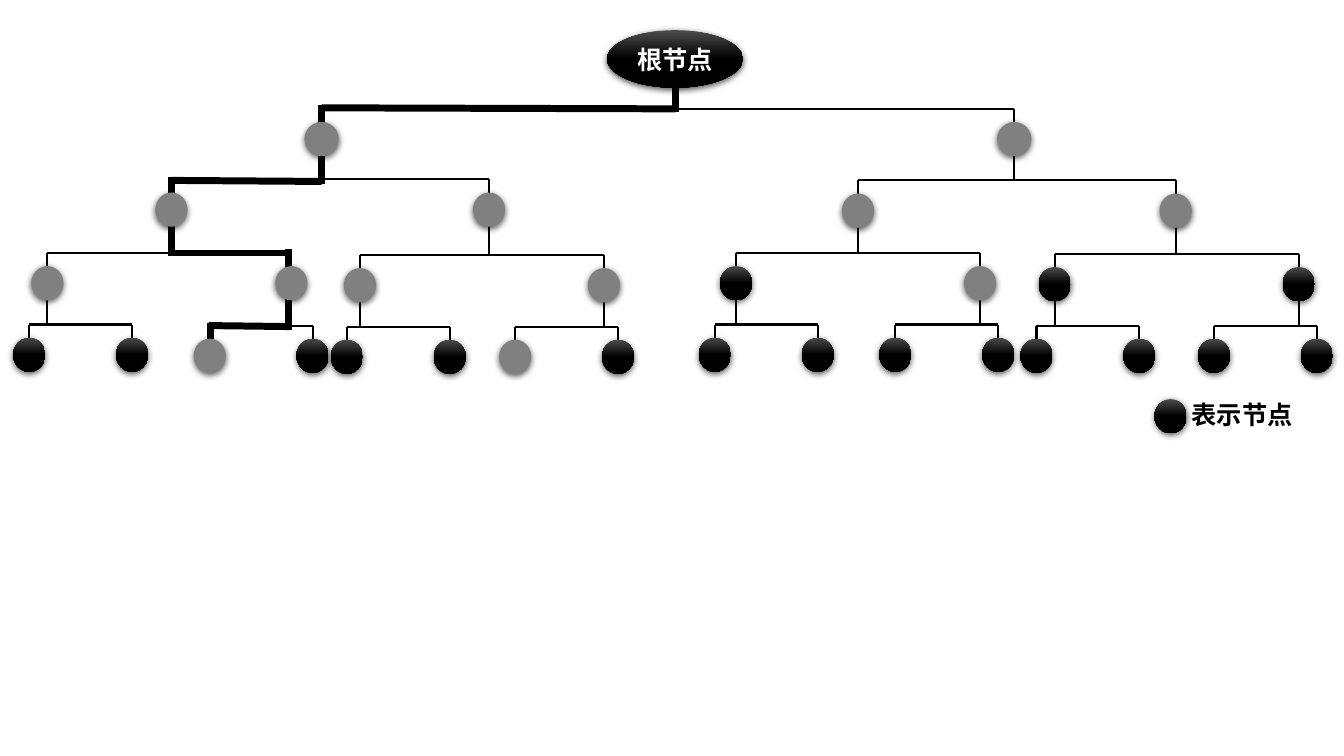
import copy

import lxml.etree
import pptx
import pptx.dml.color
import pptx.enum.shapes
import pptx.enum.text
import pptx.oxml
import pptx.oxml.ns
import pptx.util

Inches = pptx.util.Inches
Pt = pptx.util.Pt
qn = pptx.oxml.ns.qn

COLORS = {"ink": "000000", "sheen": "4B4B4B", "visited": "808080", "paper": "FFFFFF"}
THIN, THICK = 1.5, 5
NODE_HEIGHT = 0.34
NODE_DROP = 0.13

# Per level: gap between siblings, node width, bottom of the stems, and the
# branches as (left x, bar y, node kinds); "v" is a visited node, "d" a dark one.
LEVELS = [
    (6.87, 0.34, 1.79, [(3.19, 1.08, "vv")]),
    (3.15, 0.32, 2.52, [(1.7, 1.78, "vv"), (8.51, 1.79, "vv")]),
    (2.42, 0.32, 3.23, [(0.47, 2.51, "vv"), (3.57, 2.53, "vv"),
                        (7.3, 2.51, "dv"), (10.46, 2.52, "dd")]),
    (1.02, 0.32, 3.54, [(0.29, 3.22, "dd"), (2.08, 3.23, "vd"),
                        (3.44, 3.24, "dd"), (5.11, 3.24, "vd"),
                        (7.09, 3.22, "dd"), (8.88, 3.22, "dd"),
                        (10.28, 3.23, "dd"), (12.04, 3.23, "dd")]),
]
PATH_STEMS = [(6.7, 0.75, 1.11), (3.19, 1.04, 1.83), (1.7, 1.76, 2.54),
              (2.86, 2.47, 3.27), (2.09, 3.2, 3.52)]
PATH_BARS = [(6.7, 1.08, 3.19, 1.07), (3.19, 1.8, 1.7, 1.79),
             (2.88, 2.51, 1.71, 2.51), (2.87, 3.24, 2.07, 3.23)]


def rgb(name):
    """Return the named colour."""
    return pptx.dml.color.RGBColor.from_string(COLORS[name])


def apply_format(target, values):
    """Set every attribute in a dict of format values."""
    for name, value in values.items():
        setattr(target, name, value)


def add_line(shapes, start_x, start_y, end_x, end_y, width):
    """Draw a straight black line without a shadow."""
    line = shapes.add_connector(
        pptx.enum.shapes.MSO_CONNECTOR.STRAIGHT,
        Inches(start_x), Inches(start_y), Inches(end_x), Inches(end_y))
    line.line.color.rgb = rgb("ink")
    line.line.width = Pt(width)
    lxml.etree.SubElement(line._element.spPr, qn("a:effectLst"))


def add_shadow(shape):
    """Give a shape a soft shadow straight below it."""
    shape.shadow.inherit = False
    effects = shape._element.spPr.find(qn("a:effectLst"))
    shadow = lxml.etree.SubElement(
        effects, qn("a:outerShdw"), blurRad=str(Pt(4.5)), dist=str(Pt(1.5)),
        dir="5400000", algn="ctr", rotWithShape="0")
    color = lxml.etree.SubElement(shadow, qn("a:srgbClr"), val=COLORS["ink"])
    lxml.etree.SubElement(color, qn("a:alpha"), val="63000")


def fill_dark(shape):
    """Fill a shape with a grey sheen that turns black halfway down."""
    shape.fill.gradient()
    shape.fill.gradient_angle = 270
    stops = shape.fill.gradient_stops
    for stop, position, name in zip(stops, (0, 0.5), ("sheen", "ink")):
        apply_format(stop, {"position": position})
        stop.color.rgb = rgb(name)
    stop_list = shape._element.spPr.find(".//" + qn("a:gsLst"))
    last_stop = copy.deepcopy(stop_list[-1])
    last_stop.set("pos", "100000")
    stop_list.append(last_stop)


def add_node(shapes, left, top, width, height, kind):
    """Draw one tree node in its box."""
    node = shapes.add_shape(pptx.enum.shapes.MSO_SHAPE.OVAL, Inches(left),
                            Inches(top), Inches(width), Inches(height))
    if kind == "v":
        node.fill.solid()
        node.fill.fore_color.rgb = rgb("visited")
    else:
        fill_dark(node)
    node.line.fill.background()
    add_shadow(node)
    return node


def write_label(shape, text, color):
    """Write a bold centred label in a shape."""
    frame = shape.text_frame
    apply_format(frame, {"word_wrap": False,
                         "vertical_anchor": pptx.enum.text.MSO_ANCHOR.MIDDLE})
    paragraph = frame.paragraphs[0]
    paragraph.alignment = pptx.enum.text.PP_ALIGN.CENTER
    run = paragraph.add_run()
    run.text = text
    apply_format(run.font, {"name": "Calibri", "size": Pt(18), "bold": True})
    run.font.color.rgb = rgb(color)


def add_branch(slide, left, top, span, node_width, bottom, kinds):
    """Draw a bar with two stems and their nodes as one group."""
    shapes = slide.shapes.add_group_shape().shapes
    add_line(shapes, left, top, left + span, top, THIN)
    centers = (left, left + span)
    for center in centers:
        add_line(shapes, center, top, center, bottom, THIN)
    for center, kind in zip(centers, kinds):
        add_node(shapes, center - node_width / 2, top + NODE_DROP,
                 node_width, NODE_HEIGHT, kind)


def add_tree(slide, left, top, width, height):
    """Draw the root in its box, the branches and the thick search path."""
    for x, start, end in PATH_STEMS:
        add_line(slide.shapes, x, start, x, end, THICK)
    root = add_node(slide.shapes, left, top, width, height, "d")
    write_label(root, "根节点", "paper")
    for span, node_width, bottom, branches in LEVELS:
        for branch_left, bar_top, kinds in branches:
            add_branch(slide, branch_left, bar_top, span, node_width, bottom, kinds)
    for bar in PATH_BARS:
        add_line(slide.shapes, *bar, THICK)


def add_legend(slide, left, top, width, height):
    """Draw the sample node and its explanation."""
    add_node(slide.shapes, left, top + 0.09, 0.32, NODE_HEIGHT, "d")
    label = slide.shapes.add_textbox(Inches(left + 0.06), Inches(top),
                                     Inches(width - 0.06), Inches(height))
    write_label(label, "表示节点", "ink")


def main():
    """Build and save the slide."""
    presentation = pptx.Presentation()
    apply_format(presentation, {"slide_width": Inches(13.33),
                                "slide_height": Inches(7.5)})
    slide = presentation.slides.add_slide(presentation.slide_layouts[6])
    add_tree(slide, 6.02, 0.3, 1.35, 0.57)
    add_legend(slide, 11.45, 3.87, 1.68, 0.48)
    presentation.save("out.pptx")


main()
